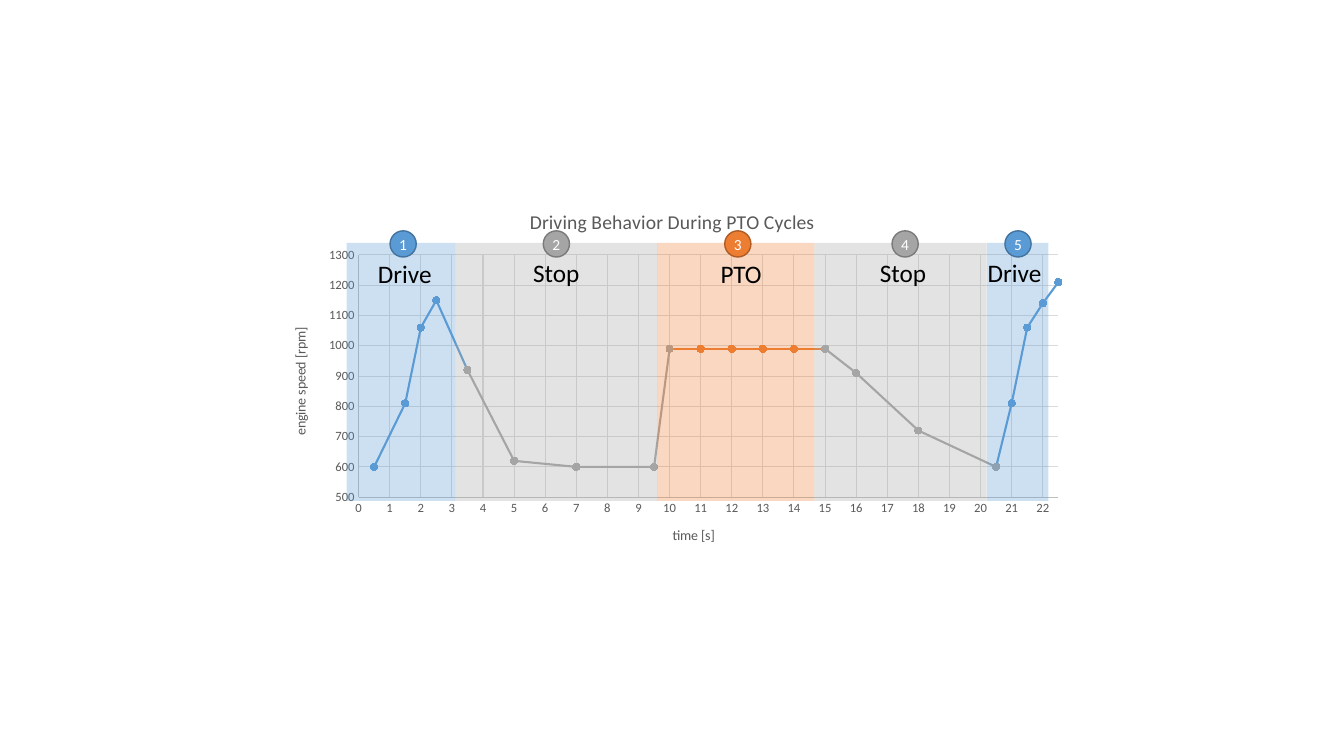
from dataclasses import dataclass

from lxml import etree
from pptx import Presentation
from pptx import util as u
from pptx.chart.data import XyChartData
from pptx.dml.color import RGBColor
from pptx.enum import chart as charts, shapes, text
from pptx.oxml import ns


@dataclass(frozen=True)
class Theme:
    font: str = "Calibri"
    blue: str = "5B9BD5"
    blue_edge: str = "43739E"
    grey: str = "A5A5A5"
    grey_edge: str = "7A7A7A"
    orange: str = "ED7D31"
    orange_edge: str = "AF5C24"
    black: str = "000000"
    white: str = "FFFFFF"
    chart_text: str = "595959"
    axis_line: str = "BFBFBF"
    grid_line: str = "D9D9D9"
    title_size: float = 14
    axis_title_size: float = 10
    tick_size: float = 9
    badge_size: float = 11
    label_size: float = 18
    band_opacity: int = 30


@dataclass(frozen=True)
class Phase:
    name: str
    color: str
    edge: str
    start: float  # columns
    end: float
    badge_center: float
    label_left: float
    label_top: float  # rows


@dataclass(frozen=True)
class SpeedSeries:
    name: str
    color: str
    speeds: dict[float, int]  # time in s -> engine speed in rpm


THEME = Theme()

# Slide grid: 40 columns by 30 rows
SLIDE_WIDTH, SLIDE_HEIGHT = u.Inches(13.33), u.Inches(7.5)
COLUMN, ROW = SLIDE_WIDTH / 40, SLIDE_HEIGHT / 30
BAND_TOP, BAND_HEIGHT = 9.64, 10.24
BADGE_WIDTH, BADGE_HEIGHT = 0.78, 1.04
LABEL_WIDTH, LABEL_HEIGHT = 2.37, 1.6

DRIVE = ("Drive", THEME.blue, THEME.blue_edge)
STOP = ("Stop", THEME.grey, THEME.grey_edge)
PTO = ("PTO", THEME.orange, THEME.orange_edge)
PHASES = [
    Phase(*DRIVE, 10.32, 13.56, 12, 10.95, 10.04),
    Phase(*STOP, 13.56, 19.56, 16.56, 15.57, 10),
    Phase(*PTO, 19.56, 24.24, 21.96, 21.15, 10.04),
    Phase(*STOP, 24.24, 29.37, 26.94, 25.89, 10),
    Phase(*DRIVE, 29.37, 31.2, 30.3, 29.1, 10),
]

TIMES = [0.5, 1.5, 2, 2.5, 3.5, 5, 7, 9.5, 10, 11, 12, 13, 14, 15, 16, 18,
         20.5, 21, 21.5, 22, 22.5]
SERIES = [
    SpeedSeries("Series 1", THEME.grey, {
        3.5: 920, 5: 620, 7: 600, 9.5: 600, 10: 990,
        15: 990, 16: 910, 18: 720, 20.5: 600}),
    SpeedSeries("Series 2", THEME.orange, {time: 990 for time in range(10, 16)}),
    SpeedSeries("Series 3", THEME.blue, {
        0.5: 600, 1.5: 810, 2: 1060, 2.5: 1150, 3.5: 920,
        20.5: 600, 21: 810, 21.5: 1060, 22: 1140, 22.5: 1210}),
]


def grid_box(left: float, top: float, width: float, height: float) -> tuple:
    return (u.Emu(round(left * COLUMN)), u.Emu(round(top * ROW)),
            u.Emu(round(width * COLUMN)), u.Emu(round(height * ROW)))


def style_font(font, size: float, color: str) -> None:
    font.name, font.size, font.bold = THEME.font, u.Pt(size), False
    font.color.rgb = RGBColor.from_string(color)


def style_line(line, color: str, width: float) -> None:
    line.color.rgb = RGBColor.from_string(color)
    line.width = u.Pt(width)


def set_title(owner, wording: str, size: float) -> None:
    frame = owner.text_frame
    frame.text = wording
    style_font(frame.paragraphs[0].runs[0].font, size, THEME.chart_text)


def style_axis(axis, wording: str, low: float, high: float, step: float) -> None:
    axis.minimum_scale, axis.maximum_scale, axis.major_unit = low, high, step
    axis.major_tick_mark = axis.minor_tick_mark = charts.XL_TICK_MARK.NONE
    axis.has_major_gridlines = True
    style_line(axis.major_gridlines.format.line, THEME.grid_line, 0.75)
    style_line(axis.format.line, THEME.axis_line, 0.75)
    style_font(axis.tick_labels.font, THEME.tick_size, THEME.chart_text)
    set_title(axis.axis_title, wording, THEME.axis_title_size)


def place_plot(chart, x: float, y: float, w: float, h: float) -> None:
    """Fix the inner plot area, in shares of the chart's size."""
    area = chart._chartSpace.find(".//" + ns.qn("c:plotArea"))
    for old in area.findall(ns.qn("c:layout")):
        area.remove(old)
    layout = etree.Element(ns.qn("c:layout"))
    manual = etree.SubElement(layout, ns.qn("c:manualLayout"))
    settings = {"layoutTarget": "inner", "xMode": "edge", "yMode": "edge",
                "x": x, "y": y, "w": w, "h": h}
    for tag, value in settings.items():
        etree.SubElement(manual, ns.qn(f"c:{tag}")).set("val", str(value))
    area.insert(0, layout)


def add_speed_chart(page) -> None:
    data = XyChartData()
    for item in SERIES:
        points = data.add_series(item.name)
        for time in TIMES:
            points.add_data_point(time, item.speeds.get(time))
    chart = page.shapes.add_chart(charts.XL_CHART_TYPE.XY_SCATTER_LINES,
                                  *grid_box(8.04, 7.6, 23.94, 14.8), data).chart
    # Times without a speed stay blank, so the lines break there
    for point in list(chart._chartSpace.iter(ns.qn("c:pt"))):
        if point.findtext(ns.qn("c:v")) in ("None", ""):
            point.getparent().remove(point)

    style_font(chart.font, THEME.axis_title_size, THEME.black)
    chart.has_legend = False
    chart.has_title = True
    set_title(chart.chart_title, "Driving Behavior During PTO Cycles", THEME.title_size)
    style_axis(chart.category_axis, "time [s]", 0, 22.5, 1)
    style_axis(chart.value_axis, "engine speed [rpm]", 500, 1300, 100)
    place_plot(chart, 0.11, 0.17, 0.87, 0.65)

    plot = chart.plots[0]
    plot.vary_by_categories = False
    for item, series in zip(SERIES, plot.series):
        series.smooth = False
        style_line(series.format.line, item.color, 1.5)
        marker = series.marker
        marker.style, marker.size = charts.XL_MARKER_STYLE.CIRCLE, 5
        marker.format.fill.solid()
        marker.format.fill.fore_color.rgb = RGBColor.from_string(item.color)
        style_line(marker.format.line, item.color, 0.75)


def add_filled(page, kind, box: tuple, color: str):
    shape = page.shapes.add_shape(kind, *box)
    shape.shadow.inherit = False
    shape.fill.solid()
    shape.fill.fore_color.rgb = RGBColor.from_string(color)
    return shape


def add_band(page, phase: Phase) -> None:
    box = grid_box(phase.start, BAND_TOP, phase.end - phase.start, BAND_HEIGHT)
    band = add_filled(page, shapes.MSO_SHAPE.RECTANGLE, box, phase.color)
    band.line.fill.background()
    color = band._element.spPr.find(".//" + ns.qn("a:srgbClr"))
    etree.SubElement(color, ns.qn("a:alpha")).set("val", str(THEME.band_opacity * 1000))


def add_badge(page, phase: Phase, number: int) -> None:
    box = grid_box(phase.badge_center - BADGE_WIDTH / 2, BAND_TOP - BADGE_HEIGHT / 2 + 0.04,
                   BADGE_WIDTH, BADGE_HEIGHT)
    badge = add_filled(page, shapes.MSO_SHAPE.OVAL, box, phase.color)
    style_line(badge.line, phase.edge, 1)
    frame = badge.text_frame
    frame.margin_left = frame.margin_right = frame.margin_top = frame.margin_bottom = 0
    frame.vertical_anchor = text.MSO_ANCHOR.MIDDLE
    frame.text = str(number)
    para = frame.paragraphs[0]
    para.alignment = text.PP_ALIGN.CENTER
    style_font(para.runs[0].font, THEME.badge_size, THEME.white)


def add_label(page, phase: Phase) -> None:
    box = grid_box(phase.label_left, phase.label_top, LABEL_WIDTH, LABEL_HEIGHT)
    frame = page.shapes.add_textbox(*box).text_frame
    frame.word_wrap = True
    frame.text = phase.name
    style_font(frame.paragraphs[0].runs[0].font, THEME.label_size, THEME.black)


def main() -> None:
    deck = Presentation()
    deck.slide_width, deck.slide_height = SLIDE_WIDTH, SLIDE_HEIGHT
    page = deck.slides.add_slide(deck.slide_layouts[6])
    add_speed_chart(page)
    # Bands lie under the badges, labels on top
    for phase in PHASES:
        add_band(page, phase)
    for number, phase in enumerate(PHASES, start=1):
        add_badge(page, phase, number)
    for phase in PHASES:
        add_label(page, phase)
    deck.save("out.pptx")


if __name__ == "__main__":
    main()
